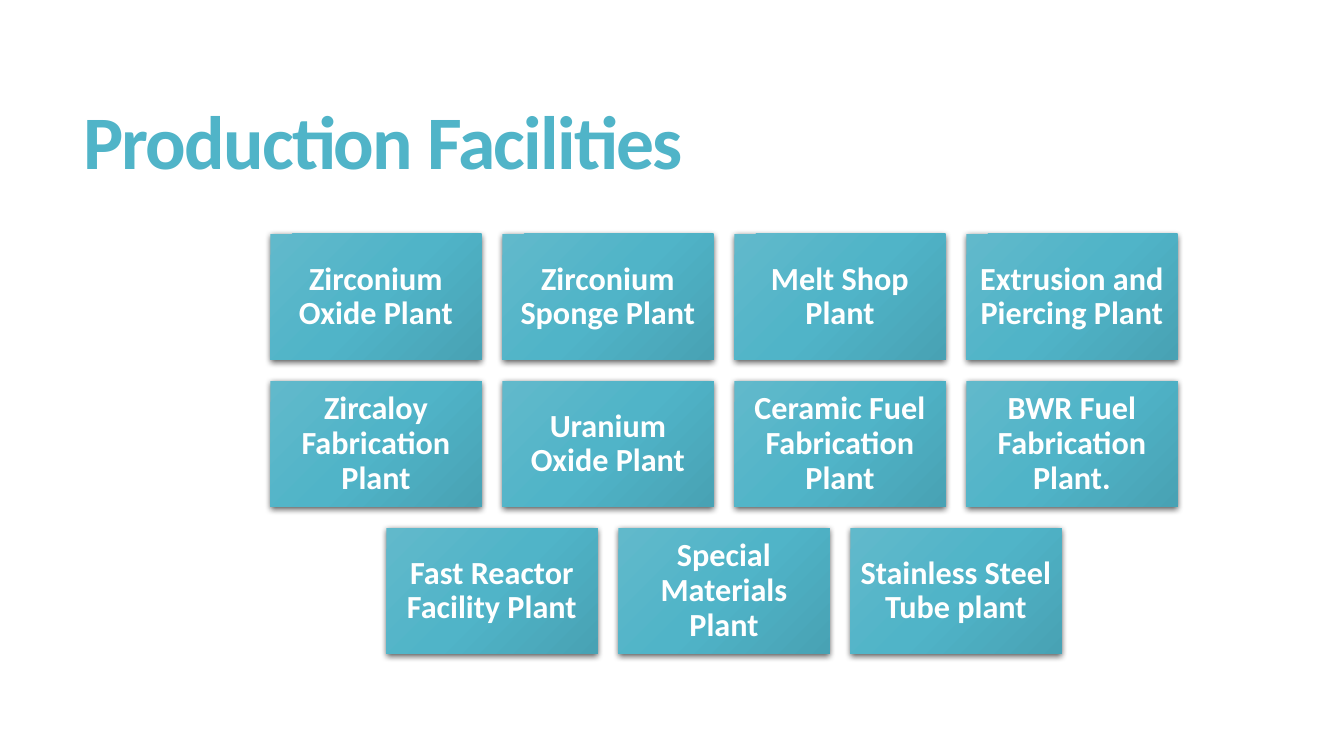
from lxml.etree import SubElement
from pptx import Presentation
from pptx.dml.color import RGBColor
from pptx.enum.shapes import MSO_SHAPE
from pptx.enum.text import MSO_ANCHOR, PP_ALIGN
from pptx.oxml.ns import qn
from pptx.util import Pt

PX = 12192000 / 1344
TEAL = RGBColor(0x50, 0xB4, 0xC8)
TEAL_LIGHT = RGBColor(0x61, 0xB9, 0xCB)
TEAL_DARK = RGBColor(0x48, 0xA2, 0xB4)
WHITE = RGBColor(0xFF, 0xFF, 0xFF)
BLACK = RGBColor(0, 0, 0)


def px(n):
    return round(n * PX)


def write(shape, text, size, color, line_spacing, align):
    tf = shape.text_frame
    tf.word_wrap = True
    tf.vertical_anchor = MSO_ANCHOR.MIDDLE
    p = tf.paragraphs[0]
    p.alignment, p.line_spacing = align, line_spacing
    r = p.add_run()
    r.text = text
    for name, value in {"name": "Calibri", "size": Pt(size), "bold": True}.items():
        setattr(r.font, name, value)
    r.font.color.rgb = color
    return r


prs = Presentation()
prs.slide_width, prs.slide_height = px(1344), px(756)
s = prs.slides.add_slide(prs.slide_layouts[5])

# Title
title = s.shapes.title
title.left, title.top, title.width, title.height = px(73), px(55), px(1187), px(182)
r = write(title, "Production Facilities", 54, TEAL, 0.85, PP_ALIGN.LEFT)
r.font._element.set("spc", "-120")

# Plant boxes: each row is centred on the same axis
ROWS = [
    ["Zirconium Oxide Plant", "Zirconium Sponge Plant", "Melt Shop Plant",
     "Extrusion and Piercing Plant"],
    ["Zircaloy Fabrication Plant", "Uranium Oxide Plant",
     "Ceramic Fuel Fabrication Plant", "BWR Fuel Fabrication Plant."],
    ["Fast Reactor Facility Plant", "Special Materials Plant",
     "Stainless Steel Tube plant"],
]
BOX_W, BOX_H, GAP = 211, 126, 21
CENTER_X, TOP = 724, 234
STOPS = [(0, TEAL_LIGHT), (50, TEAL), (100, TEAL_DARK)]

for row, plants in enumerate(ROWS):
    left = CENTER_X - (len(plants) * (BOX_W + GAP) - GAP) / 2
    for col, plant in enumerate(plants):
        box = s.shapes.add_shape(
            MSO_SHAPE.RECTANGLE, px(left + col * (BOX_W + GAP)),
            px(TOP + row * (BOX_H + GAP)), px(BOX_W), px(BOX_H))
        box.line.fill.background()
        tf = box.text_frame
        for side in ("left", "top", "right", "bottom"):
            setattr(tf, f"margin_{side}", px(10))
        write(box, plant, 23, WHITE, 0.9, PP_ALIGN.CENTER)

        # Diagonal gradient
        box.fill.gradient()
        box.fill.gradient_angle = 315
        stops = box._element.spPr.find(".//" + qn("a:gsLst"))
        stops.clear()
        for pos, color in STOPS:
            gs = SubElement(stops, qn("a:gs"), pos=str(pos * 1000))
            SubElement(gs, qn("a:srgbClr"), val=str(color))

        # Soft shadow below
        box.shadow.inherit = False
        effects = box._element.spPr.find(qn("a:effectLst"))
        shadow = SubElement(effects, qn("a:outerShdw"), blurRad=str(Pt(4.5)),
                            dist=str(Pt(1.5)), dir="5400000", algn="ctr", rotWithShape="0")
        black = SubElement(shadow, qn("a:srgbClr"), val=str(BLACK))
        SubElement(black, qn("a:alpha"), val="63000")

prs.save("out.pptx")
